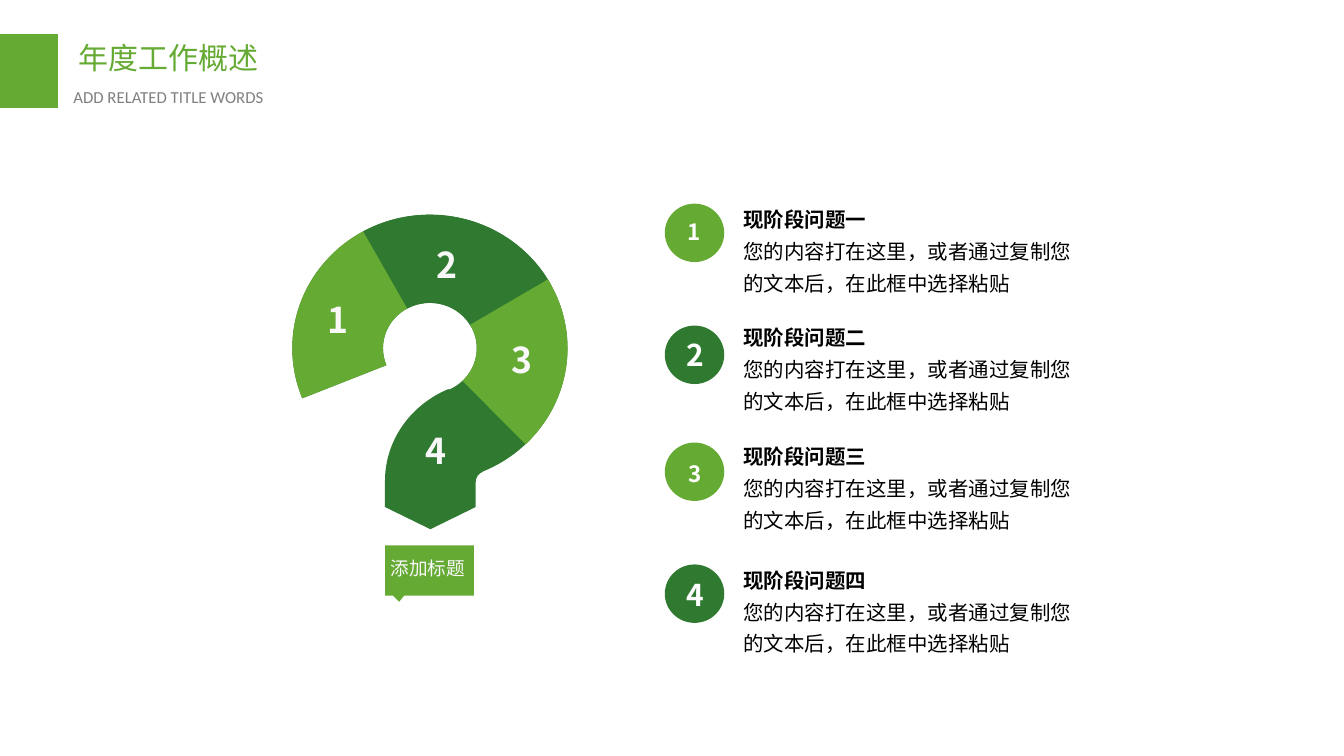
from dataclasses import dataclass
from math import ceil, cos, floor, radians, sin, tan

from lxml import etree
from pptx import Presentation
from pptx import util as u
from pptx.dml.color import RGBColor
from pptx.enum import shapes, text
from pptx.oxml.ns import qn

CELL = 0.1  # grid cell in inches: 133.33 columns by 75 rows
COLS, ROWS = 133.33, 75
LIGHT, DARK, PALE, WHITE = "65AA33", "307930", "F8F8F8", "FFFFFF"
CJK = "Noto Sans CJK SC"
BODY = "您的内容打在这里，或者通过复制您的文本后，在此框中选择粘贴"
Point = tuple[float, float]
Step = list[Point]  # one point is a line, three points are a curve
Box = tuple[float, float, float, float]


@dataclass
class Issue:
    title: str
    color: str
    badge_row: float
    label_col: float
    label_row: float
    text_row: float
    size: float


@dataclass
class Segment:
    start: float
    end: float
    color: str


@dataclass
class Numeral:
    col: float
    row: float


ISSUES = [
    Issue("现阶段问题一", LIGHT, 20.2, 67.2, 20.8, 19.4, 16),
    Issue("现阶段问题二", DARK, 32.3, 67.3, 33, 31.1, 21.4),
    Issue("现阶段问题三", LIGHT, 43.9, 67.3, 44.8, 42.9, 16),
    Issue("现阶段问题四", DARK, 56, 67.3, 56.8, 55.2, 21.4),
]
# Angles run clockwise from the right-hand side
SEGMENTS = [Segment(-119, -28, DARK), Segment(-31, 46, LIGHT), Segment(-202, -119, LIGHT)]
NUMERALS = [Numeral(31.5, 29.1), Numeral(42.3, 23.6), Numeral(49.8, 33.05), Numeral(41.2, 42.1)]


def grid(cells: float) -> int:
    return u.Inches(cells * CELL)


def rgb(color: str) -> RGBColor:
    return RGBColor.from_string(color)


def arc(cx: float, cy: float, rx: float, ry: float, start: float, end: float) -> list[Step]:
    """Elliptical arc as a line to its start and one curve for each quadrant it crosses."""
    low, high = sorted((start, end))
    turns = [90 * q for q in range(floor(low / 90) + 1, ceil(high / 90))]
    stops = [low, *turns, high]
    if start > end:
        stops.reverse()

    def at(angle: float, pull: float = 0) -> Point:
        a = radians(angle)
        return cx + rx * (cos(a) - pull * sin(a)), cy + ry * (sin(a) + pull * cos(a))

    steps = [[at(start)]]
    for a, b in zip(stops, stops[1:]):
        pull = 4 / 3 * tan(radians(b - a) / 4)
        steps.append([at(a, pull), at(b, -pull), at(b)])
    return steps


def outer(start: float, end: float) -> list[Step]:
    return arc(42.65, 34.55, 13.65, 13.25, start, end)


def inner(start: float, end: float) -> list[Step]:
    return arc(42.65, 34.55, 4.65, 4.5, start, end)


def lines(*points: Point) -> list[Step]:
    return [[point] for point in points]


def paint(sp, color: str):
    sp.fill.solid()
    sp.fill.fore_color.rgb = rgb(color)
    sp.line.fill.background()
    sp.shadow.inherit = False


def outline(s, steps: list[Step], color: str):
    ends = [(grid(step[-1][0]), grid(step[-1][1])) for step in steps]
    builder = s.shapes.build_freeform(*ends[0], scale=1.0)
    builder.add_line_segments(ends[1:], close=True)
    sp = builder.convert_to_shape()
    paint(sp, color)
    # Bend the straight sides that belong to an arc
    sides = list(sp._element.iter(qn("a:lnTo")))
    for side, step in zip(sides, steps[1:]):
        if len(step) == 3:
            side.tag = qn("a:cubicBezTo")
            for i, (x, y) in enumerate(step[:2]):
                pt = etree.Element(qn("a:pt"), x=str(grid(x) - sp.left), y=str(grid(y) - sp.top))
                side.insert(i, pt)


def shape(s, kind, box: Box, color: str):
    paint(s.shapes.add_shape(kind, *map(grid, box)), color)


def set_frame(sp, box: Box, inset: Point, anchor=text.MSO_ANCHOR.TOP):
    sp.left, sp.top, sp.width, sp.height = map(grid, box)
    tf = sp.text_frame
    side, edge = map(grid, inset)
    values = dict(word_wrap=True, auto_size=text.MSO_AUTO_SIZE.NONE, vertical_anchor=anchor,
                  margin_left=side, margin_right=side, margin_top=edge, margin_bottom=edge)
    for name, value in values.items():
        setattr(tf, name, value)
    return tf


def write(p, words: str, size: float, color: str, bold: bool = False, font: str = CJK,
          align=text.PP_ALIGN.LEFT, spacing: float = 1.0):
    pPr = p._p.get_or_add_pPr()
    pPr.set("marL", "0")
    pPr.set("indent", "0")
    etree.SubElement(pPr, qn("a:buNone"))
    for name, value in dict(alignment=align, line_spacing=spacing, space_before=u.Pt(0)).items():
        setattr(p, name, value)
    r = p.add_run()
    r.text = words
    for name, value in dict(size=u.Pt(size), bold=bold, name=font).items():
        setattr(r.font, name, value)
    r.font.color.rgb = rgb(color)
    etree.SubElement(r._r.get_or_add_rPr(), qn("a:ea")).set("typeface", font)


def label(s, box: Box, words: str, size: float, color: str, inset: Point = (1, 0.5),
          anchor=text.MSO_ANCHOR.TOP, **style):
    sp = s.shapes.add_textbox(0, 0, 0, 0)
    write(set_frame(sp, box, inset, anchor).paragraphs[0], words, size, color, **style)


def draw_header(s):
    shape(s, shapes.MSO_SHAPE.RECTANGLE, (0, 3.4, 5.75, 7.3), LIGHT)
    tf = set_frame(s.shapes.title, (6.8, 3.4, 26.8, 4.6), (1, 0.5))
    write(tf.paragraphs[0], "年度工作概述", 21.4, LIGHT, align=text.PP_ALIGN.JUSTIFY)
    label(s, (6.3, 8.1, 29.7, 3), "ADD RELATED TITLE WORDS", 12, "808080",
          font="Calibri", align=text.PP_ALIGN.JUSTIFY)


def draw_question_mark(s):
    # Whole mark: ring, then the stem with its pointed foot
    stem = (arc(48.4, 47.8, 1.2, 1.1, 246, 180)
            + lines((47.2, 50.3), (42.7, 52.5), (38.2, 50.3))
            + arc(48.8, 47.7, 10.6, 9.96, 180, 246))
    outline(s, outer(-202, 67.3) + stem + inner(66, -202), DARK)
    for seg in SEGMENTS:
        outline(s, outer(seg.start, seg.end) + inner(seg.end, seg.start), seg.color)
    for number, spot in enumerate(NUMERALS, 1):
        label(s, (spot.col, spot.row, 3.3, 5.3), str(number), 25.4, PALE, bold=True)

    # Caption forming the dot of the mark
    outline(s, lines((38.2, 54.1), (47, 54.1), (47, 59.1), (40.1, 59.1),
                     (39.6, 59.7), (39, 59.1), (38.2, 59.1)), LIGHT)
    label(s, (37.6, 54.8, 9.7, 3.1), "添加标题", 13.3, PALE, inset=(0.9, 0.4),
          align=text.PP_ALIGN.CENTER)


def draw_issues(s):
    bodies = [sp for sp in s.placeholders if sp.placeholder_format.idx > 0]
    for number, (issue, sp) in enumerate(zip(ISSUES, bodies), 1):
        tf = set_frame(sp, (72.85, issue.text_row, 36.3, 10.5), (0.9, 0.4))
        write(tf.paragraphs[0], issue.title, 14.6, "000000", bold=True, spacing=1.3)
        write(tf.add_paragraph(), BODY, 14.6, "000000", spacing=1.3)
        shape(s, shapes.MSO_SHAPE.OVAL, (65.95, issue.badge_row, 5.9, 5.8), issue.color)
        label(s, (issue.label_col, issue.label_row, 3.3, 4.3), str(number), issue.size, WHITE,
              bold=True, inset=(0, 0), anchor=text.MSO_ANCHOR.MIDDLE, align=text.PP_ALIGN.CENTER)


def main():
    prs = Presentation()
    prs.slide_width, prs.slide_height = grid(COLS), grid(ROWS)
    s = prs.slides.add_slide(prs.slide_layouts.get_by_name("Comparison"))
    draw_header(s)
    draw_question_mark(s)
    draw_issues(s)
    prs.save("out.pptx")


if __name__ == "__main__":
    main()
